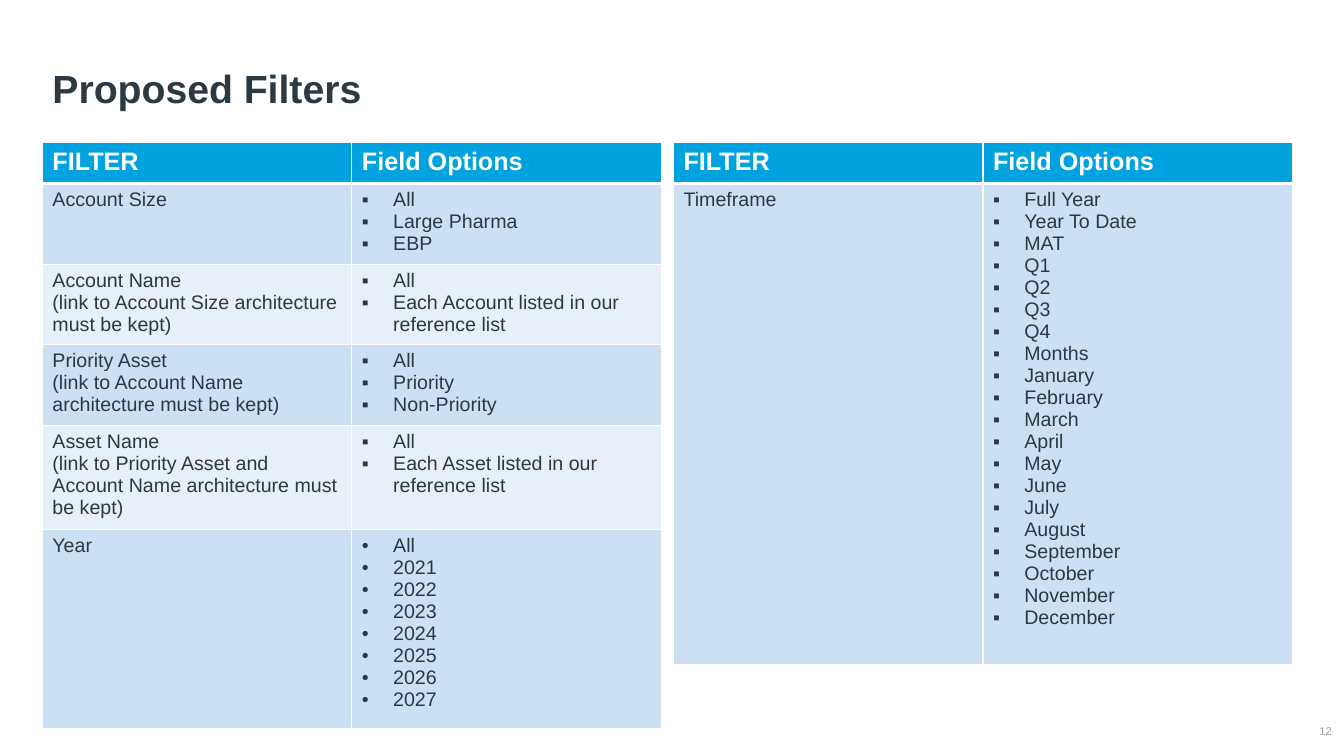
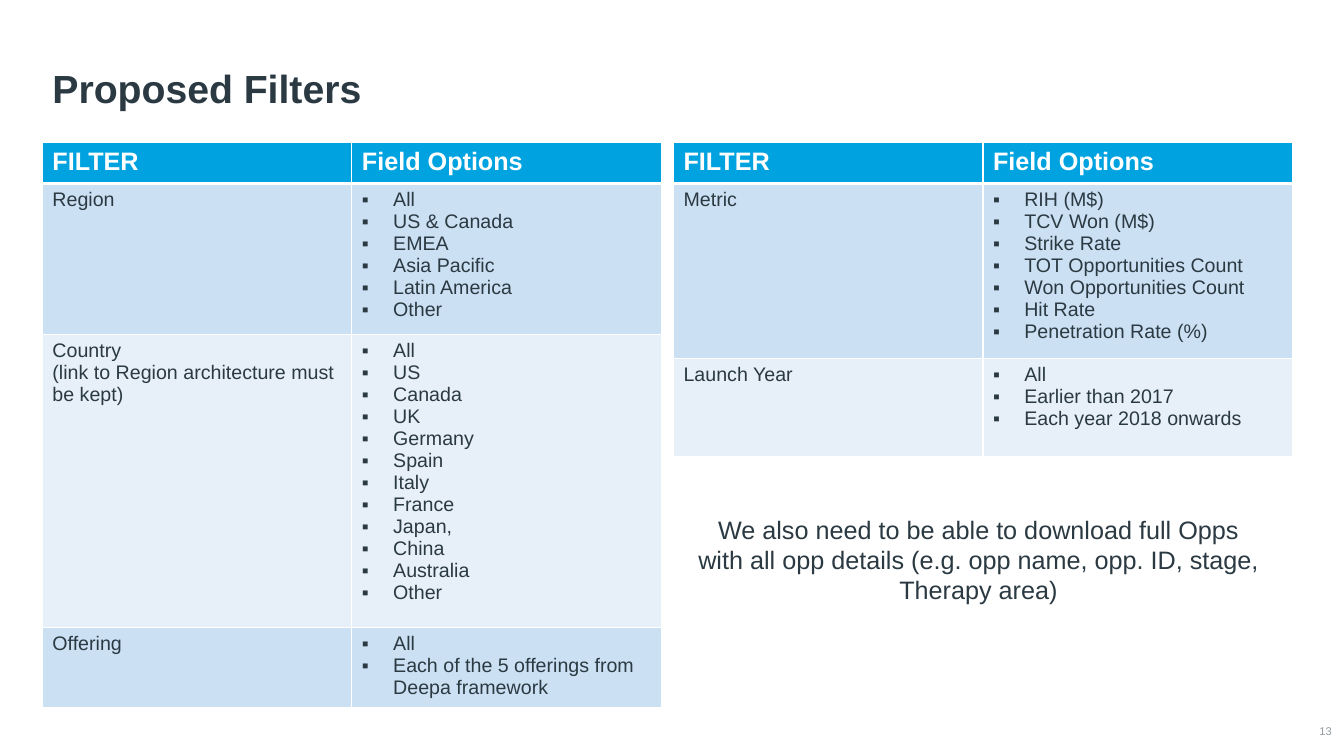
"""Build two slides that list the proposed dashboard filters and their options."""
from lxml.etree import SubElement
from pptx import Presentation
from pptx.dml.color import RGBColor
from pptx.enum.text import MSO_ANCHOR, MSO_AUTO_SIZE, PP_ALIGN
from pptx.oxml.ns import qn
from pptx.util import Inches, Pt

HEADER, BANDS = "00A3E0", ("CCE0F3", "E7F0F9")
INK, WHITE, MUTED = "2B3A42", "FFFFFF", "959CA0"
FONT = "Arial"
LEFT, TOP, COLUMN_STEP, COLUMN_WIDTH = 0.42, 1.41, 3.13, 3.07
HEADER_HEIGHT, LINE_HEIGHT, CELL_PADDING = 0.41, 0.22, 0.1
BULLET_INDENT = 0.31


def color(hex_code):
    return RGBColor.from_string(hex_code)


def write_text(frame, lines, size=14, ink=INK, bold=False, align=PP_ALIGN.LEFT,
               bullet=None, spacing=None):
    frame.word_wrap = True
    for index, line in enumerate(lines):
        paragraph = frame.paragraphs[0] if index == 0 else frame.add_paragraph()
        paragraph.alignment = align
        if spacing:
            paragraph.line_spacing = spacing
        if bullet:
            properties = paragraph._p.get_or_add_pPr()
            properties.set("marL", str(Inches(BULLET_INDENT)))
            properties.set("indent", str(-Inches(BULLET_INDENT)))
            SubElement(properties, qn("a:buFont")).set("typeface", FONT)
            SubElement(properties, qn("a:buChar")).set("char", bullet)
        run = paragraph.add_run()
        run.text = line
        run.font.name, run.font.size, run.font.bold = FONT, Pt(size), bold
        run.font.color.rgb = color(ink)


class FilterDeck:
    def __init__(self, first_page):
        self.deck = Presentation()
        self.deck.slide_width, self.deck.slide_height = Inches(13.33), Inches(7.5)
        self.page = first_page - 1
        self.slide = None

    def add_slide(self, title):
        self.slide = self.deck.slides.add_slide(self.deck.slide_layouts[5])
        self.page += 1
        heading = self.slide.shapes.title
        heading.left, heading.top = Inches(LEFT), Inches(0.32)
        heading.width, heading.height = Inches(12.4), Inches(0.84)
        heading.text_frame.auto_size = MSO_AUTO_SIZE.NONE
        heading.text_frame.vertical_anchor = MSO_ANCHOR.BOTTOM
        write_text(heading.text_frame, [title], size=28, bold=True, spacing=0.9)
        self.add_text([str(self.page)], 12.82, 7.16, 0.39, 0.19, inset=0,
                      anchor=MSO_ANCHOR.MIDDLE, size=8, ink=MUTED, align=PP_ALIGN.RIGHT)

    def add_text(self, lines, left, top, width, height, inset=None,
                 anchor=MSO_ANCHOR.TOP, **style):
        frame = self.slide.shapes.add_textbox(
            Inches(left), Inches(top), Inches(width), Inches(height)).text_frame
        frame.vertical_anchor = anchor
        if inset is not None:
            frame.margin_left = frame.margin_right = Inches(inset)
            frame.margin_top = frame.margin_bottom = Inches(inset)
        write_text(frame, lines, **style)

    def add_cell(self, cell, lines, fill, top_line=1, bottom_line=1, **style):
        properties = cell._tc.get_or_add_tcPr()
        for side, width in zip("LRTB", (1, 1, top_line, bottom_line)):
            border = SubElement(properties, qn(f"a:ln{side}"), w=str(Pt(width)))
            paint = SubElement(border, qn("a:solidFill"))
            SubElement(paint, qn("a:srgbClr"), val=WHITE)
        cell.fill.solid()
        cell.fill.fore_color.rgb = color(fill)
        write_text(cell.text_frame, lines, **style)

    def add_filters(self, column, filters):
        heights = [HEADER_HEIGHT] + [
            round(line_count * LINE_HEIGHT + CELL_PADDING, 2)
            for _, _, line_count, _ in filters]
        table = self.slide.shapes.add_table(
            len(heights), 2, Inches(LEFT + column * COLUMN_STEP), Inches(TOP),
            Inches(2 * COLUMN_WIDTH), Inches(sum(heights))).table
        table.horz_banding = False
        for row, height in zip(table.rows, heights):
            row.height = Inches(height)
        for index, label in enumerate(("FILTER", "Field Options")):
            self.add_cell(table.cell(0, index), [label], HEADER, bottom_line=3,
                          size=18, ink=WHITE, bold=True)
        for row, (name, options, _, bullet) in enumerate(filters, 1):
            fill = BANDS[(row - 1) % 2]
            top_line = 3 if row == 1 else 1
            self.add_cell(table.cell(row, 0), name, fill, top_line)
            self.add_cell(table.cell(row, 1), options, fill, top_line, bullet=bullet)


def main():
    deck = FilterDeck(first_page=12)

    deck.add_slide("Proposed Filters")
    deck.add_filters(0, [
        (["Account Size"], ["All", "Large Pharma", "EBP"], 3, "▪"),
        (["Account Name", "(link to Account Size architecture must be kept)"],
         ["All", "Each Account listed in our reference list"], 3, "▪"),
        (["Priority Asset", "(link to Account Name architecture must be kept)"],
         ["All", "Priority", "Non-Priority"], 3, "▪"),
        (["Asset Name", "(link to Priority Asset and Account Name architecture must be kept)"],
         ["All", "Each Asset listed in our reference list"], 4, "▪"),
        (["Year"], ["All"] + [str(year) for year in range(2021, 2028)], 8, "•"),
    ])
    deck.add_filters(2, [
        (["Timeframe"],
         ["Full Year", "Year To Date", "MAT", "Q1", "Q2", "Q3", "Q4", "Months",
          "January", "February", "March", "April", "May", "June", "July", "August",
          "September", "October", "November", "December"], 20, "▪"),
    ])

    deck.add_slide("Proposed Filters")
    deck.add_filters(0, [
        (["Region"],
         ["All", "US & Canada", "EMEA", "Asia Pacific", "Latin America", "Other"], 6, "▪"),
        (["Country", "(link to Region architecture must be kept)"],
         ["All", "US", "Canada", "UK", "Germany", "Spain", "Italy", "France",
          "Japan,", "China", "Australia", "Other"], 12, "▪"),
        (["Offering"], ["All", "Each of the 5 offerings from Deepa framework"], 3, "▪"),
    ])
    deck.add_filters(2, [
        (["Metric"],
         ["RIH (M$)", "TCV Won (M$)", "Strike Rate", "TOT Opportunities Count",
          "Won Opportunities Count", "Hit Rate", "Penetration Rate (%)"], 7, "▪"),
        (["Launch Year"], ["All", "Earlier than 2017", "Each year 2018 onwards"], 4, "▪"),
    ])
    deck.add_text(
        ["We also need to be able to download full Opps with all opp details "
         "(e.g. opp name, opp. ID, stage, Therapy area)"],
        6.77, 5.05, 5.87, 1.01, size=18, align=PP_ALIGN.CENTER)

    deck.deck.save("out.pptx")


if __name__ == "__main__":
    main()
